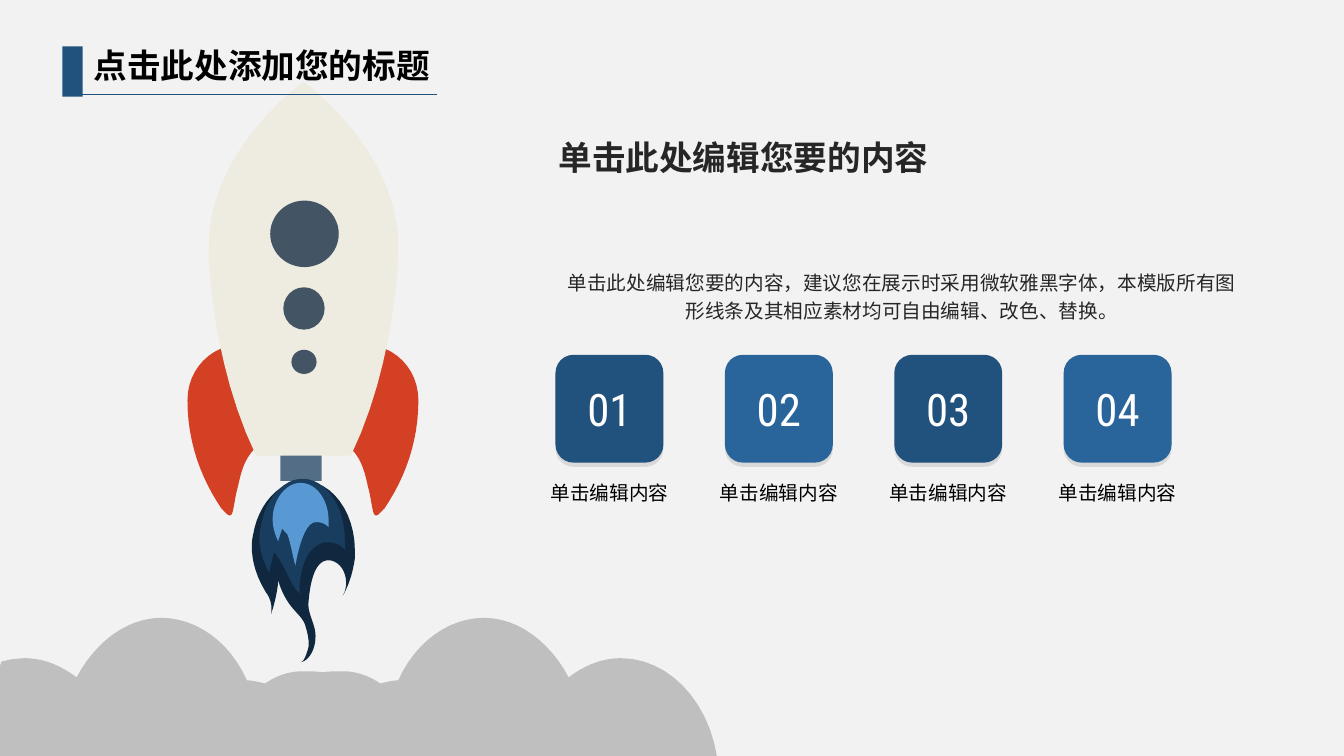
import pptx
import pptx.util
import pptx.dml.color
import pptx.enum.shapes
import pptx.enum.text
import pptx.oxml.ns
import lxml.etree

Inches = pptx.util.Inches
SHAPES = pptx.enum.shapes.MSO_SHAPE
ALIGN = pptx.enum.text.PP_ALIGN
COLORS = {
    "background": "F2F2F2", "navy": "21517D", "blue": "29659B",
    "flame_dark": "10283F", "flame_mid": "193D5E", "flame_light": "5898D3",
    "fin": "D44024", "body": "EEECE1", "cloud": "BFBFBF",
    "ink": "262626", "black": "000000", "white": "FFFFFF",
}
RGB = {name: pptx.dml.color.RGBColor.from_string(value) for name, value in COLORS.items()}
CHINESE, NUMERALS = "Noto Sans CJK SC", "Roboto Condensed"
STEPS = 12

presentation = pptx.Presentation()
presentation.slide_width = Inches(13.33)
presentation.slide_height = Inches(7.5)
slide = presentation.slides.add_slide(presentation.slide_layouts[6])
slide.background.fill.solid()
slide.background.fill.fore_color.rgb = RGB["background"]


def curve_points(start, segments):
    points = [start]
    for x1, y1, x2, y2, x3, y3 in segments:
        x0, y0 = points[-1]
        for step in range(1, STEPS + 1):
            t = step / STEPS
            weights = ((1 - t) ** 3, 3 * t * (1 - t) ** 2, 3 * t * t * (1 - t), t ** 3)
            points.append((
                sum(w * x for w, x in zip(weights, (x0, x1, x2, x3))),
                sum(w * y for w, y in zip(weights, (y0, y1, y2, y3))),
            ))
    return points


def add_text(box, text, font_format, align=ALIGN.LEFT, inset=True, line_spacing=None):
    text_box = slide.shapes.add_textbox(*map(Inches, box))
    frame = text_box.text_frame
    frame.word_wrap = True
    if not inset:
        for side in ("left", "top", "right", "bottom"):
            setattr(frame, "margin_" + side, 0)
    paragraph = frame.paragraphs[0]
    paragraph.alignment = align
    paragraph.line_spacing = line_spacing
    run = paragraph.add_run()
    run.text = text
    for name, value in font_format["font"].items():
        setattr(run.font, name, value)
    run.font.color.rgb = RGB[font_format["color"]]
    east_asian = lxml.etree.SubElement(run.font._element, pptx.oxml.ns.qn("a:ea"))
    east_asian.set("typeface", font_format["font"]["name"])


flame_outer = curve_points((3.52, 5.54), [
    (3.5, 5.68, 3.46, 5.81, 3.4, 5.91), (3.47, 5.8, 3.43, 5.59, 3.28, 5.56),
    (3.1, 5.53, 3.07, 5.86, 3.06, 5.98), (3.05, 6.09, 3.13, 6.19, 3.13, 6.31),
    (3.13, 6.45, 3.06, 6.56, 2.98, 6.57), (3.02, 6.57, 3.05, 6.46, 3.06, 6.42),
    (3.07, 6.36, 3.05, 6.28, 3.03, 6.21), (3.01, 6.14, 2.95, 6.09, 2.9, 6.03),
    (2.85, 5.97, 2.81, 5.9, 2.78, 5.82), (2.77, 5.8, 2.77, 5.78, 2.76, 5.76),
    (2.75, 5.92, 2.69, 6.09, 2.69, 6.09), (2.71, 5.96, 2.64, 5.88, 2.64, 5.88),
    (2.44, 5.56, 2.51, 5.31, 2.51, 5.31), (2.56, 5, 2.77, 4.77, 3.01, 4.77),
    (3.29, 4.77, 3.52, 5.08, 3.52, 5.46),
])
flame_middle = curve_points((3, 4.75), [
    (2.81, 4.75, 2.63, 4.95, 2.59, 5.22), (2.58, 5.24, 2.53, 5.43, 2.67, 5.68),
    (2.67, 5.67, 2.72, 5.47, 2.72, 5.47), (2.72, 5.49, 2.78, 5.55, 2.79, 5.58),
    (2.85, 5.68, 2.88, 5.79, 2.97, 5.89), (2.97, 5.5, 3.13, 5.38, 3.25, 5.38),
    (3.31, 5.38, 3.37, 5.4, 3.42, 5.45), (3.42, 5.42, 3.42, 5.39, 3.42, 5.36),
    (3.42, 5.02, 3.23, 4.75, 3, 4.75),
])
flame_inner = curve_points((3.14, 5.18), [
    (3.18, 5.18, 3.22, 5.19, 3.26, 5.23), (3.26, 5.21, 3.26, 5.19, 3.26, 5.17),
    (3.26, 4.96, 3.14, 4.79, 2.98, 4.79), (2.86, 4.79, 2.74, 4.91, 2.71, 5.08),
    (2.71, 5.1, 2.68, 5.21, 2.76, 5.37), (2.76, 5.36, 2.8, 5.24, 2.8, 5.24),
    (2.8, 5.25, 2.84, 5.29, 2.85, 5.3), (2.88, 5.37, 2.91, 5.55, 2.93, 5.61),
    (2.93, 5.61, 3, 5.16, 3.14, 5.18),
])
left_fin = curve_points((2.39, 3.42), [
    (2.1, 3.42, 1.86, 3.66, 1.86, 3.97), (1.86, 4.38, 1.99, 4.74, 2.2, 5.05),
    (2.21, 5.05, 2.21, 5.06, 2.22, 5.07), (2.24, 5.08, 2.27, 5.14, 2.3, 5.1),
    (2.32, 5.06, 2.33, 4.93, 2.36, 4.83), (2.39, 4.69, 2.42, 4.57, 2.51, 4.47),
    (2.58, 4.4, 2.67, 4.34, 2.78, 4.32), (2.87, 4.22, 2.92, 4.09, 2.92, 3.95),
    (2.92, 3.66, 2.69, 3.42, 2.39, 3.42),
])
right_fin = [(6.01 - x, y) for x, y in left_fin]
body_right = curve_points((3.01, 0.81), [
    (3.01, 0.81, 4.02, 1.53, 3.95, 2.55), (3.95, 2.55, 3.92, 3.61, 3.48, 4.52),
])
body = body_right + [(6.02 - x, y) for x, y in reversed(body_right)]
cloud_right = curve_points((3.2, 6.67), [
    (3.27, 6.66, 3.33, 6.66, 3.4, 6.66), (3.53, 6.66, 3.65, 6.7, 3.77, 6.78),
    (3.83, 6.77, 3.89, 6.75, 3.95, 6.75), (4.12, 6.37, 4.45, 6.13, 4.8, 6.13),
    (5.15, 6.13, 5.46, 6.38, 5.64, 6.72), (5.8, 6.6, 5.97, 6.53, 6.16, 6.53),
    (6.62, 6.53, 7.02, 6.94, 7.11, 7.5),
])
cloud = [(max(0, 6.4 - x), y) for x, y in reversed(cloud_right)] + cloud_right

for outline, color in [
    (flame_outer, "flame_dark"), (flame_middle, "flame_mid"), (flame_inner, "flame_light"),
    (left_fin, "fin"), (right_fin, "fin"), (body, "body"), (cloud, "cloud"),
]:
    points = [(Inches(x), Inches(y)) for x, y in outline]
    builder = slide.shapes.build_freeform(*points[0])
    builder.add_line_segments(points[1:], close=True)
    shape = builder.convert_to_shape()
    shape.shadow.inherit = False
    shape.fill.solid()
    shape.fill.fore_color.rgb = RGB[color]
    shape.line.fill.background()

tile_lefts = [5.51 + 1.68 * index for index in range(4)]
presets = [
    (SHAPES.OVAL, (2.68, 1.99, 0.68, 0.66), "flame_dark", 77),
    (SHAPES.OVAL, (2.81, 2.85, 0.41, 0.42), "flame_dark", 77),
    (SHAPES.OVAL, (2.89, 3.47, 0.25, 0.24), "flame_dark", 77),
    (SHAPES.RECTANGLE, (2.78, 4.52, 0.41, 0.25), "flame_mid", 73),
    (SHAPES.RECTANGLE, (0.62, 0.46, 0.2, 0.5), "navy", 100),
]
for index, left in enumerate(tile_lefts):
    color = ("navy", "blue")[index % 2]
    presets.append((SHAPES.ROUNDED_RECTANGLE, (left, 3.52, 1.07, 1.07), color, 100))

for kind, box, color, opacity in presets:
    shape = slide.shapes.add_shape(kind, *map(Inches, box))
    shape.shadow.inherit = False
    shape.fill.solid()
    shape.fill.fore_color.rgb = RGB[color]
    shape.line.fill.background()
    properties = shape._element.spPr
    if opacity < 100:
        fill_color = properties.find(".//" + pptx.oxml.ns.qn("a:srgbClr"))
        alpha = lxml.etree.SubElement(fill_color, pptx.oxml.ns.qn("a:alpha"))
        alpha.set("val", str(opacity * 1000))
    if kind == SHAPES.ROUNDED_RECTANGLE:
        effects = properties.find(pptx.oxml.ns.qn("a:effectLst"))
        effects.append(pptx.oxml.parse_xml(
            f'<a:outerShdw {pptx.oxml.ns.nsdecls("a")} blurRad="0" dist="38100" dir="5400000" '
            f'algn="t" rotWithShape="0"><a:srgbClr val="{COLORS["black"]}">'
            '<a:alpha val="10000"/></a:srgbClr></a:outerShdw>'))

title_line = slide.shapes.add_connector(
    pptx.enum.shapes.MSO_CONNECTOR.STRAIGHT, *map(Inches, (0.76, 0.94, 4.33, 0.94)))
title_line.line.color.rgb = RGB["navy"]
title_line.line.width = pptx.util.Pt(0.5)
lxml.etree.SubElement(title_line._element.spPr, pptx.oxml.ns.qn("a:effectLst"))

heading_font = {"name": CHINESE, "size": pptx.util.Pt(24), "bold": True}
text_font = {"name": CHINESE, "size": pptx.util.Pt(14)}
number_font = {"name": NUMERALS, "size": pptx.util.Pt(32)}
add_text((0.83, 0.4, 3.92, 0.5), "点击此处添加您的标题", {"font": heading_font, "color": "black"})
add_text((5.54, 1.36, 6.93, 0.4), "单击此处编辑您要的内容",
         {"font": heading_font, "color": "ink"}, inset=False)
add_text((5.54, 2.64, 6.81, 0.54),
         "单击此处编辑您要的内容，建议您在展示时采用微软雅黑字体，本模版所有图形线条及其相应素材均可自由编辑、改色、替换。",
         {"font": text_font, "color": "ink"}, ALIGN.CENTER, inset=False, line_spacing=1.2)
for number, left in enumerate(tile_lefts, 1):
    add_text((left, 3.74, 1.07, 0.64), f"{number:02}",
             {"font": number_font, "color": "white"}, ALIGN.CENTER)
    add_text((left - 0.18, 4.72, 1.43, 0.34), "单击编辑内容",
             {"font": text_font, "color": "black"}, ALIGN.CENTER)

presentation.save("out.pptx")
